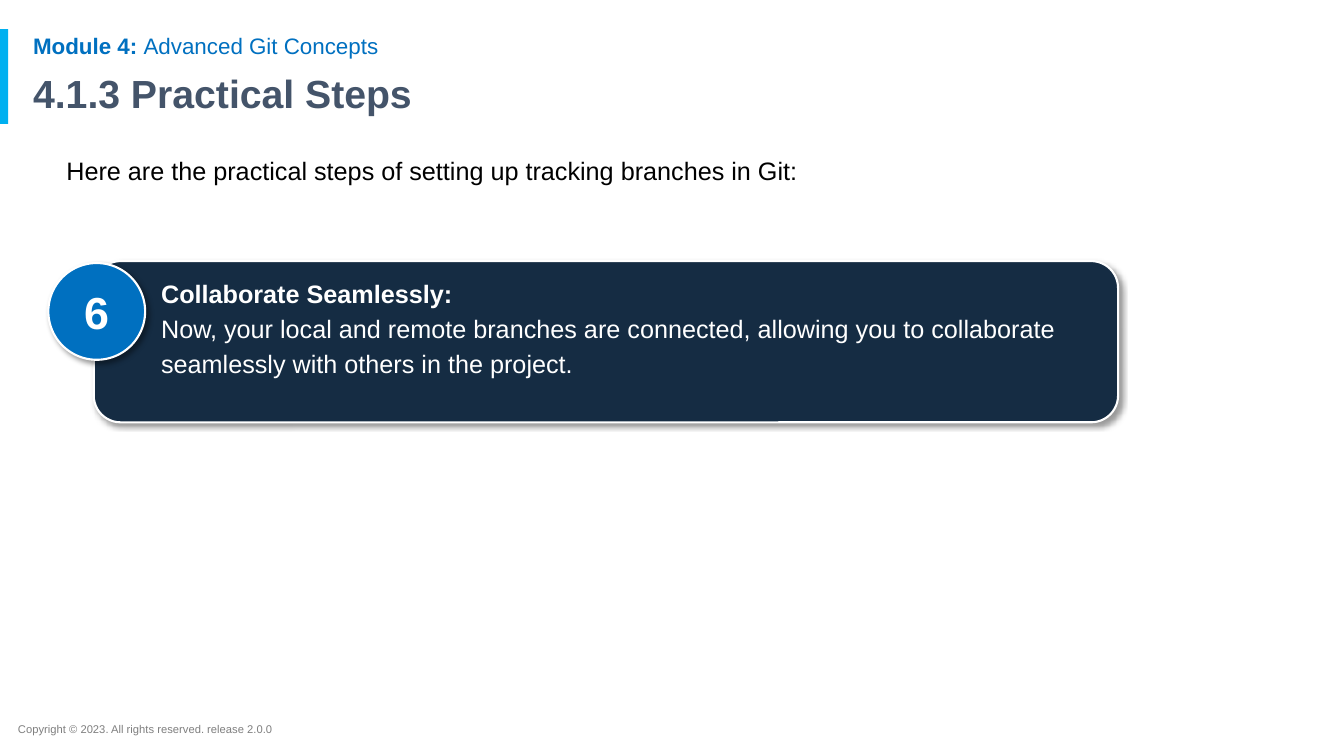
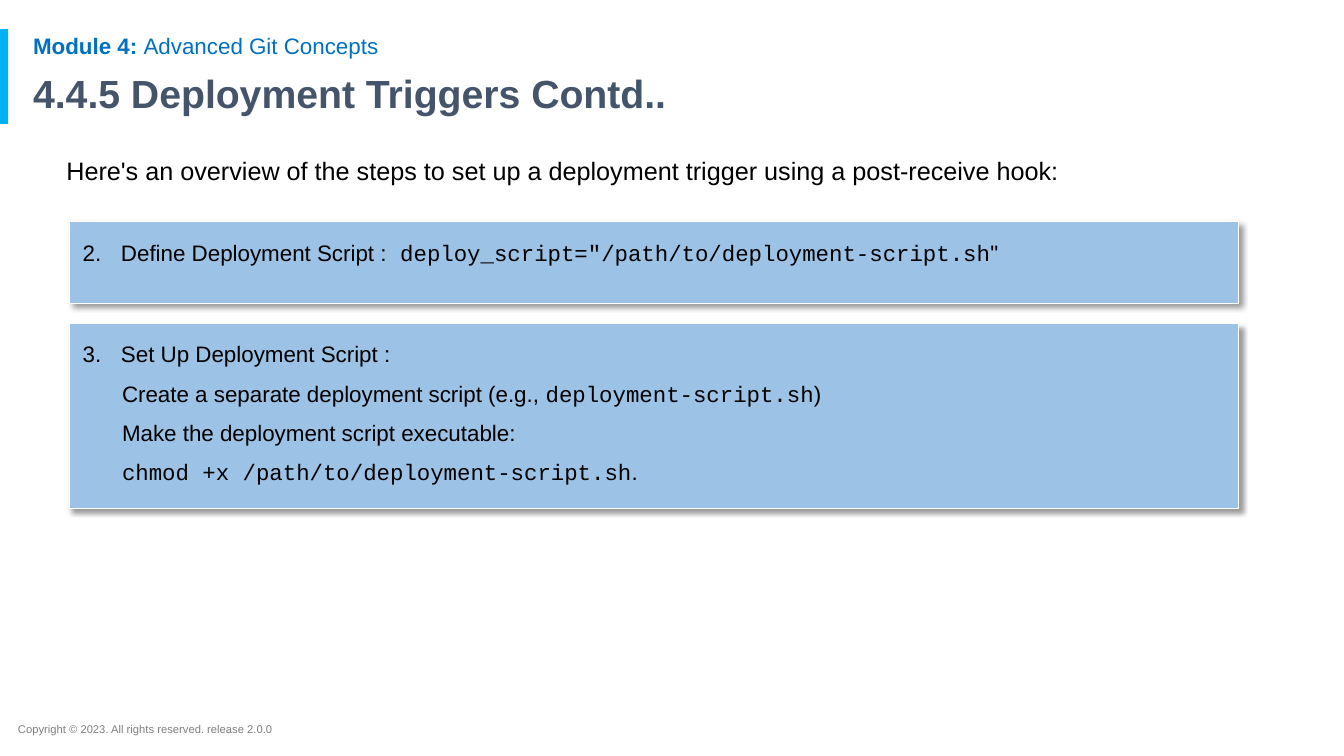
"""Build two Git course slides with a shared header and footer."""
from dataclasses import dataclass

from lxml.etree import SubElement
from pptx import Presentation
from pptx.dml.color import RGBColor
from pptx.enum.shapes import MSO_SHAPE as Shape
from pptx.enum.text import MSO_ANCHOR as Anchor, PP_ALIGN as Align
from pptx.oxml.ns import qn
from pptx.util import Inches, Pt

WHITE = RGBColor(0xFF, 0xFF, 0xFF)
BLACK = RGBColor(0x00, 0x00, 0x00)
SKY = RGBColor(0x00, 0xB0, 0xF0)
BLUE = RGBColor(0x00, 0x70, 0xC0)
SLATE = RGBColor(0x44, 0x54, 0x6A)
GREY = RGBColor(0x7F, 0x7F, 0x7F)
NAVY = RGBColor(0x15, 0x2C, 0x43)
PALE_BLUE = RGBColor(0x9C, 0xC2, 0xE5)

SANS = "Arial"
CODE = "Courier New"
PANEL_LEFT, PANEL_TOP, PANEL_WIDTH, PANEL_GAP = 0.69, 2.2, 11.59, 0.2


@dataclass
class Style:
    """Look of the text in one box."""
    size: float
    color: RGBColor
    bold: bool = False
    spacing: float = 1.0


def add_span(para, text, style, font=SANS, bold=None):
    """Add one run to a paragraph."""
    span = para.add_run()
    span.text = text
    span.font.name = font
    span.font.size = Pt(style.size)
    span.font.color.rgb = style.color
    span.font.bold = style.bold if bold is None else bold


def fill_text(box, lines, style, margins=(0.1, 0.05, 0.1, 0.05), align=Align.LEFT, anchor=Anchor.TOP):
    """Write paragraphs, each a list of run arguments, and return them."""
    frame = box.text_frame
    frame.word_wrap = True
    frame.vertical_anchor = anchor
    frame.margin_left, frame.margin_top, frame.margin_right, frame.margin_bottom = map(Inches, margins)
    paras = []
    for index, spans in enumerate(lines):
        para = frame.add_paragraph() if index else frame.paragraphs[0]
        para.alignment = align
        para.line_spacing = style.spacing
        for text, *options in spans:
            add_span(para, text, style, *options)
        paras.append(para)
    return paras


def add_text(page, area, spans, style):
    """Place a one-paragraph text box."""
    fill_text(page.shapes.add_textbox(*map(Inches, area)), [spans], style)


def add_block(page, kind, area, fill, line_width=None):
    """Place a filled shape; one with a line also casts a shadow."""
    block = page.shapes.add_shape(kind, *map(Inches, area))
    block.fill.solid()
    block.fill.fore_color.rgb = fill
    block.shadow.inherit = False
    if line_width is None:
        block.line.fill.background()
        return block
    block.line.color.rgb = WHITE
    block.line.width = Pt(line_width)
    effects = block._element.spPr.find(qn("a:effectLst"))
    shadow = SubElement(effects, qn("a:outerShdw"), blurRad=str(Pt(4)), dist=str(Pt(3)),
                        dir=str(45 * 60000), algn="tl", rotWithShape="0")
    color = SubElement(shadow, qn("a:srgbClr"), val=str(BLACK))
    SubElement(color, qn("a:alpha"), val="40000")
    return block


def add_page(deck, title, intro):
    """Add a slide with the shared accent, footer, headings and intro."""
    page = deck.slides.add_slide(deck.slide_layouts[6])
    add_block(page, Shape.RECTANGLE, (0, 0.29, 0.08, 0.94), SKY)
    add_text(page, (0.08, 7.12, 7.13, 0.24),
             [("Copyright © 2023. All rights reserved. release 2.0.0",)], Style(8, GREY))
    add_text(page, (0.23, 0.3, 11.5, 0.33),
             [("Module 4: ", SANS, True), ("Advanced Git Concepts",)], Style(16, BLUE, spacing=0.9))
    add_text(page, (0.23, 0.69, 11.5, 0.54), [(title,)], Style(28, SLATE, True, 0.9))
    add_text(page, (0.56, 1.43, 11.24, 5.29), [(intro,)], Style(18, BLACK, spacing=1.2))
    return page


def add_step_card(page, left, top, number, heading, detail):
    """Place a rounded card with a number badge over its left edge."""
    badge_size = 0.96
    card = add_block(page, Shape.ROUNDED_RECTANGLE,
                     (left + 0.45, top, 10.16, 1.6), NAVY, 1.5)
    fill_text(card, [[(heading, SANS, True)], [(detail,)]],
              Style(18, WHITE, spacing=1.15), (0.59, 0.05, 0.1, 0.05))
    badge = add_block(page, Shape.OVAL, (left, top + 0.02, badge_size, badge_size), BLUE, 1.5)
    fill_text(badge, [[(number,)]], Style(32, WHITE, True),
              align=Align.CENTER, anchor=Anchor.MIDDLE)


def set_number(para, start):
    """Number a paragraph with a hanging indent."""
    props = para._p.get_or_add_pPr()
    props.set("marL", str(Inches(0.38)))
    props.set("indent", str(Inches(-0.38)))
    color = SubElement(props, qn("a:buClr"))
    SubElement(color, qn("a:srgbClr"), val=str(BLACK))
    SubElement(props, qn("a:buFont"), typeface=SANS)
    SubElement(props, qn("a:buAutoNum"), type="arabicPeriod", startAt=str(start))


def add_code_panel(page, top, height, number, lines):
    """Place a panel with a numbered first line and indented details."""
    panel = add_block(page, Shape.RECTANGLE,
                      (PANEL_LEFT, top, PANEL_WIDTH, height), PALE_BLUE, 0.75)
    first, *details = paras = fill_text(panel, lines, Style(16, BLACK, spacing=1.15), (0.13,) * 4)
    for para in details:
        para.space_before = Pt(6)
        para._p.get_or_add_pPr().set("marL", str(Inches(0.39)))
    paras[-1].space_after = Pt(6)
    set_number(first, number)


def build_practical_steps(deck):
    """Build the slide with the collaboration step."""
    page = add_page(deck, "4.1.3 Practical Steps",
                    "Here are the practical steps of setting up tracking branches in Git:")
    add_step_card(page, 0.48, 2.59, "6", "Collaborate Seamlessly:",
                  "Now, your local and remote branches are connected, allowing you to "
                  "collaborate seamlessly with others in the project.")


def build_deployment_triggers(deck):
    """Build the slide with the deployment script panels."""
    page = add_page(deck, "4.4.5 Deployment Triggers Contd..",
                    "Here's an overview of the steps to set up a deployment trigger "
                    "using a post-receive hook:")
    panels = [
        (0.81, [
            [("Define Deployment Script :",),
             (' deploy_script="/path/to/deployment-script.sh', CODE), ('"',)],
        ]),
        (1.84, [
            [("Set Up Deployment Script :",)],
            [("Create a separate deployment script (e.g., ",), ("deployment-script.sh", CODE), (")",)],
            [("Make the deployment script executable:",)],
            [("chmod +x /path/to/deployment-script.sh", CODE), (".",)],
        ]),
    ]
    top = PANEL_TOP
    for number, (height, lines) in enumerate(panels, start=2):
        add_code_panel(page, top, height, number, lines)
        top += height + PANEL_GAP


def main():
    """Build and save the deck."""
    deck = Presentation()
    deck.slide_width, deck.slide_height = Inches(13.33), Inches(7.5)
    build_practical_steps(deck)
    build_deployment_triggers(deck)
    deck.save("out.pptx")


if __name__ == "__main__":
    main()
